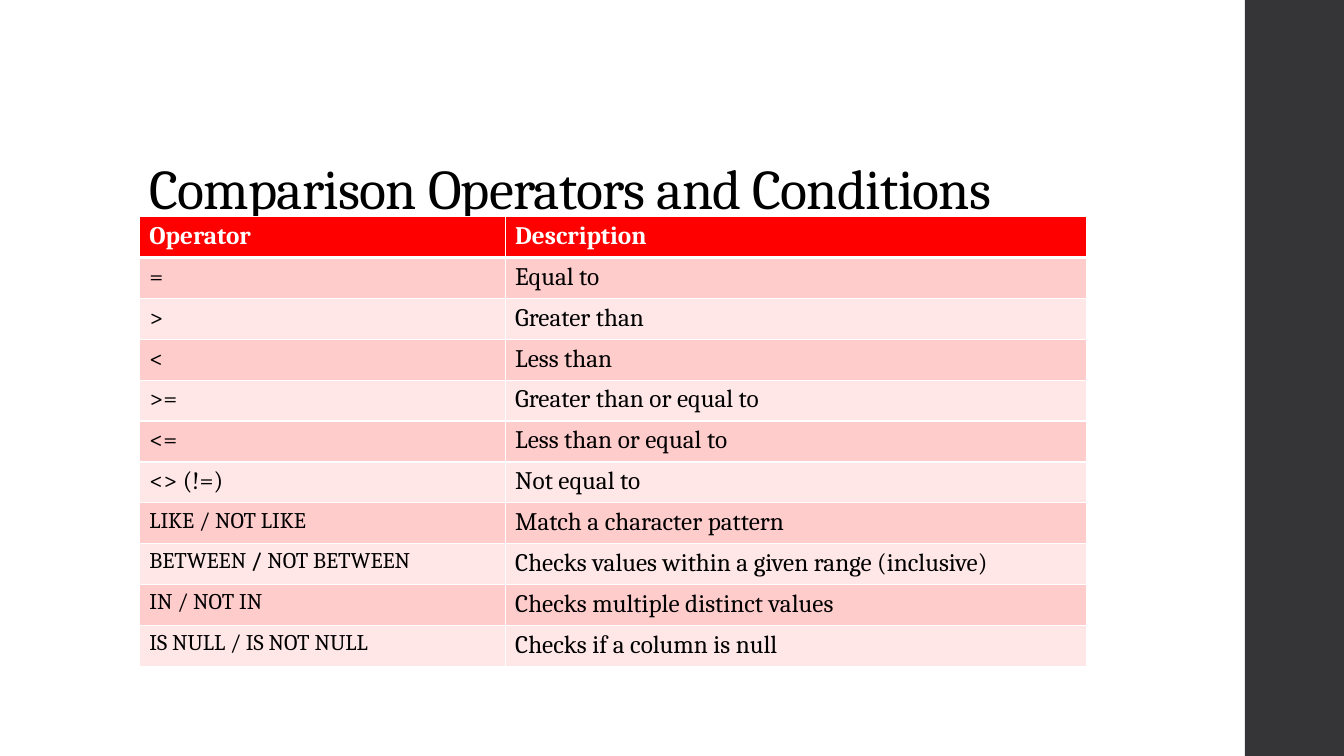
"""Build a slide with a table of comparison operators."""
from lxml import etree
from pptx import Presentation
from pptx.dml.color import RGBColor
from pptx.enum.shapes import MSO_SHAPE
from pptx.enum.text import MSO_ANCHOR, MSO_AUTO_SIZE, PP_ALIGN
from pptx.oxml.ns import qn
from pptx.util import Cm, Pt

RECT = MSO_SHAPE.RECTANGLE
BOTTOM = MSO_ANCHOR.BOTTOM
NO_FIT = MSO_AUTO_SIZE.NONE
LEFT = PP_ALIGN.LEFT

FONT = "Cambria"
COLORS = {
    "bar": "353537",
    "text": "000000",
    "white": "FFFFFF",
    "header": "FF0000",
    "odd": "FFCCCC",
    "even": "FFE7E7",
}
TITLE_ONLY = 5
SLIDE_W, SLIDE_H = Cm(33.87), Cm(19.05)
MARGIN_LEFT = Cm(3.51)
COL_WIDTHS = (Cm(9.22), Cm(14.66))
ROW_H = Cm(1.03)
# Text between asterisks is bold.
ROWS = [
    ("Operator", "Description"),
    ("=", "Equal to"),
    (">", "Greater than"),
    ("<", "Less than"),
    (">=", "Greater than or equal to"),
    ("<=", "Less than or equal to"),
    ("<> (!=)", "Not equal to"),
    ("LIKE / NOT LIKE", "Match a character pattern"),
    ("BETWEEN */ *NOT BETWEEN", "Checks values within a given range (inclusive)"),
    ("IN / NOT IN", "Checks multiple distinct values"),
    ("IS NULL / IS NOT NULL", "Checks if a column is null"),
]


def rgb(name):
    """Return the named colour."""
    return RGBColor.from_string(COLORS[name])


def format_run(r, size, color, bold=False):
    """Set the font of a run."""
    r.font.name = FONT
    r.font.size = Pt(size)
    r.font.bold = bold
    r.font.color.rgb = rgb(color)


def add_side_bar(s):
    """Add the dark bar along the right edge."""
    left = Cm(31.37)
    sp = s.shapes.add_shape(RECT, left, 0, SLIDE_W - left, SLIDE_H)
    sp.shadow.inherit = False
    sp.fill.solid()
    sp.fill.fore_color.rgb = rgb("bar")
    sp.line.fill.background()


def set_title(s, text):
    """Place and format the title placeholder."""
    sp = s.shapes.title
    sp.left, sp.top, sp.width, sp.height = MARGIN_LEFT, Cm(1.02), Cm(26.92), Cm(4.7)
    tf = sp.text_frame
    tf.text = text
    tf.auto_size = NO_FIT
    tf.vertical_anchor = BOTTOM
    p = tf.paragraphs[0]
    p.alignment = LEFT
    p.line_spacing = 0.9
    r = p.runs[0]
    format_run(r, 40, "text")
    r.font._element.set("spc", "-50")


def set_borders(cell, top, bottom):
    """Draw white cell borders with the given top and bottom widths in points."""
    tc_pr = cell._tc.get_or_add_tcPr()
    for side, width in (("L", 1), ("R", 1), ("T", top), ("B", bottom)):
        ln = etree.SubElement(tc_pr, qn(f"a:ln{side}"), w=str(Pt(width)))
        fill = etree.SubElement(ln, qn("a:solidFill"))
        etree.SubElement(fill, qn("a:srgbClr"), val=COLORS["white"])


def fill_cell(cell, text, size, color, fill, bold):
    """Write the cell text and set its fill."""
    p = cell.text_frame.paragraphs[0]
    for i, piece in enumerate(text.split("*")):
        r = p.add_run()
        r.text = piece
        format_run(r, size, color, bold or i % 2 == 1)
    cell.fill.solid()
    cell.fill.fore_color.rgb = rgb(fill)


def add_operator_table(s):
    """Add the table of operators and descriptions."""
    table = s.shapes.add_table(
        len(ROWS), len(COL_WIDTHS), MARGIN_LEFT, Cm(5.46),
        sum(COL_WIDTHS), ROW_H * len(ROWS)).table
    for column, width in zip(table.columns, COL_WIDTHS):
        column.width = width
    for i, row in enumerate(ROWS):
        table.rows[i].height = ROW_H
        header = i == 0
        fill = "header" if header else ("even", "odd")[i % 2]
        for j, text in enumerate(row):
            cell = table.cell(i, j)
            set_borders(cell, 3 if i == 1 else 1, 3 if header else 1)
            size = 16 if j == 0 and i >= 7 else 18
            fill_cell(cell, text, size, "white" if header else "text", fill, header)


def main():
    """Build and save the slide."""
    prs = Presentation()
    prs.slide_width, prs.slide_height = SLIDE_W, SLIDE_H
    s = prs.slides.add_slide(prs.slide_layouts[TITLE_ONLY])
    add_side_bar(s)
    set_title(s, "Comparison Operators and Conditions")
    add_operator_table(s)
    prs.save("out.pptx")


if __name__ == "__main__":
    main()
